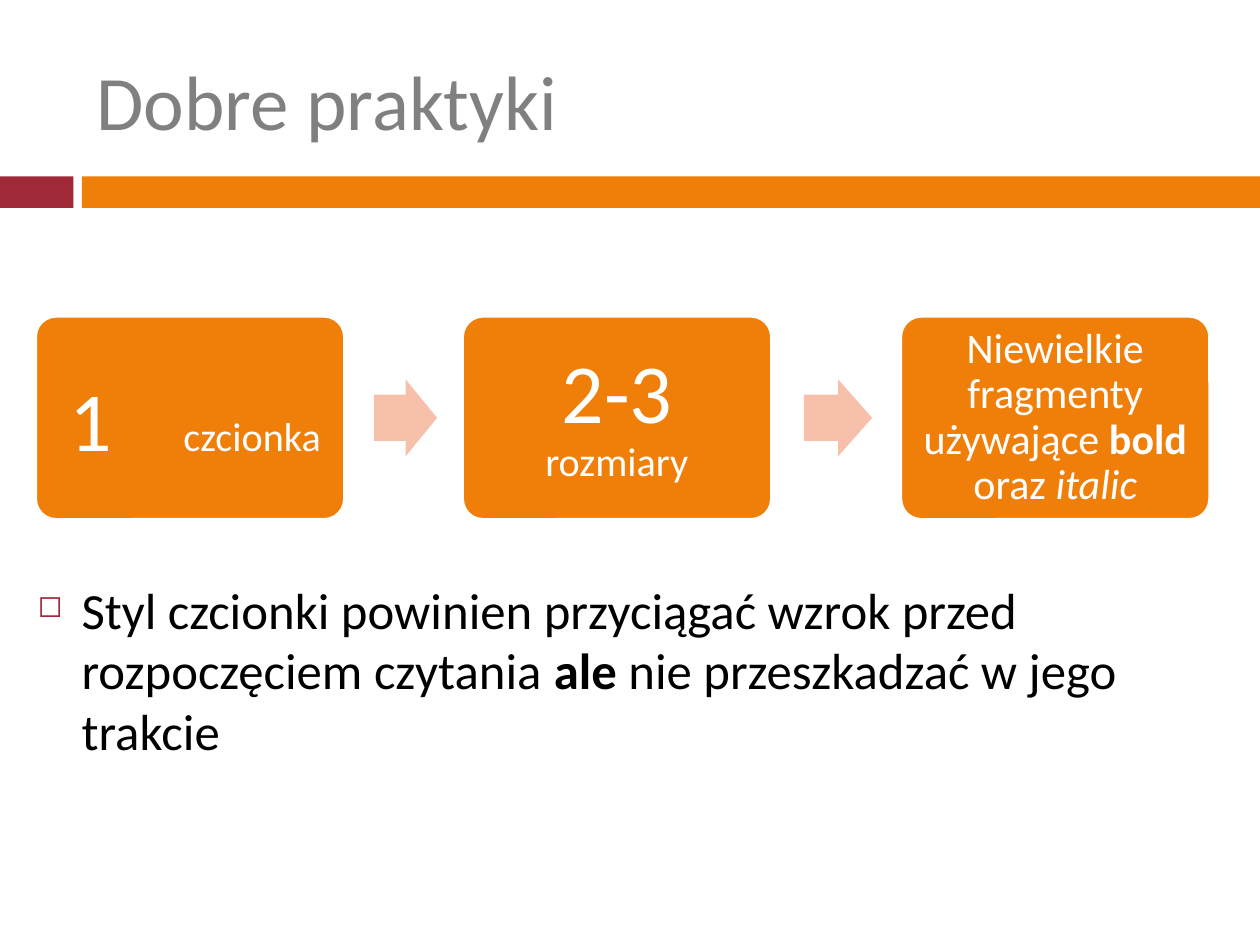
import pptx
import pptx.dml.color
import pptx.enum.shapes
import pptx.enum.text
import pptx.oxml
import pptx.oxml.ns
import pptx.util

Pt = pptx.util.Pt
SHAPE = pptx.enum.shapes.MSO_SHAPE
ALIGN = pptx.enum.text.PP_ALIGN
ANCHOR = pptx.enum.text.MSO_ANCHOR
COLORS = {
    "red": "9F2936",
    "orange": "F07F09",
    "peach": "F6C0AB",
    "gray": "808080",
    "white": "FFFFFF",
    "black": "000000",
}
NAMESPACE = pptx.oxml.ns.nsdecls("a")


def add_filled(kind, left, top, width, height, color):
    shape = slide.shapes.add_shape(kind, Pt(left), Pt(top), Pt(width), Pt(height))
    shape.shadow.inherit = False
    shape.fill.solid()
    shape.fill.fore_color.rgb = pptx.dml.color.RGBColor.from_string(COLORS[color])
    shape.line.fill.background()
    return shape


def add_spans(para, spans, color):
    """Add (text, size, style) runs, where style is "", "bold" or "italic"."""
    for text, size, style in spans:
        span = para.add_run()
        span.text = text
        span.font.name = "Calibri"
        span.font.size = Pt(size)
        span.font.bold = style == "bold"
        span.font.italic = style == "italic"
        span.font.color.rgb = pptx.dml.color.RGBColor.from_string(COLORS[color])


deck = pptx.Presentation()
deck.slide_width, deck.slide_height = Pt(720), Pt(540)
slide = deck.slides.add_slide(deck.slide_layouts[5])

# Title and the two-colour band below it
title = slide.shapes.title
title.left, title.top, title.width, title.height = Pt(48), Pt(18), Pt(642), Pt(78)
title.text_frame.auto_size = pptx.enum.text.MSO_AUTO_SIZE.NONE
title.text_frame.vertical_anchor = ANCHOR.MIDDLE
title_para = title.text_frame.paragraphs[0]
title_para.alignment = ALIGN.LEFT
add_spans(title_para, [("Dobre praktyki", 44, "")], "gray")

add_filled(SHAPE.RECTANGLE, 0, 100.8, 42, 18, "red")
add_filled(SHAPE.RECTANGLE, 46.8, 100.8, 673.2, 18, "orange")

# Three steps: left edge, side inset, line spacing, text
steps = [
    (20.4, 16, 1.0, [("1", 48, ""), ("\tczcionka", 23, "")]),
    (264.4, 14.4, 0.9, [("2-3", 48, ""), (" rozmiary", 23, "")]),
    (514.8, 7.2, 0.9, [("Niewielkie fragmenty używające ", 24, ""), ("bold ", 24, "bold"),
                       ("oraz ", 24, ""), ("italic", 24, "italic")]),
]
for left, inset, spacing, spans in steps:
    box = add_filled(SHAPE.ROUNDED_RECTANGLE, left, 180.8, 176.4, 116, "orange")
    box.adjustments[0] = 0.1
    box.line.color.rgb = pptx.dml.color.RGBColor.from_string(COLORS["white"])
    box.line.width = Pt(1.5)
    frame = box.text_frame
    frame.word_wrap = True
    frame.vertical_anchor = ANCHOR.MIDDLE
    frame.margin_left = Pt(inset)
    frame.margin_right = Pt(min(inset, 14.4))
    frame.margin_top = frame.margin_bottom = Pt(7.2)
    para = frame.paragraphs[0]
    para.alignment = ALIGN.CENTER
    para.line_spacing = spacing
    add_spans(para, spans, "white")
    if "\t" in spans[-1][0]:
        # A tab stop holds the word apart from the figure
        para.alignment = ALIGN.LEFT
        frame.margin_right = Pt(7.2)
        para._p.get_or_add_pPr().append(pptx.oxml.parse_xml(
            f'<a:tabLst {NAMESPACE}><a:tab pos="{Pt(65)}" algn="l"/></a:tabLst>'))

for left, width in [(213.8, 36), (459.4, 39)]:
    arrow = add_filled(SHAPE.RIGHT_ARROW, left, 216.8, width, 44, "peach")
    arrow.adjustments[0] = 0.6
    arrow.adjustments[1] = 0.5

# Bulleted advice
advice = slide.shapes.add_textbox(Pt(14.4), Pt(326.9), Pt(692), Pt(142))
advice.text_frame.word_wrap = True
para = advice.text_frame.paragraphs[0]
para.space_before = Pt(7)
add_spans(para, [
    ("Styl czcionki powinien przyciągać wzrok przed rozpoczęciem czytania ", 29, ""),
    ("ale", 29, "bold"),
    (" nie przeszkadzać w jego trakcie", 29, ""),
], "black")
properties = para._p.get_or_add_pPr()
properties.set("marL", str(Pt(25.2)))
properties.set("indent", str(Pt(-25.2)))
for bullet in [
    f'<a:buClr {NAMESPACE}><a:srgbClr val="{COLORS["red"]}"/></a:buClr>',
    f'<a:buSzPct {NAMESPACE} val="60000"/>',
    f'<a:buChar {NAMESPACE} char="◻"/>',
]:
    properties.append(pptx.oxml.parse_xml(bullet))

deck.save("out.pptx")
